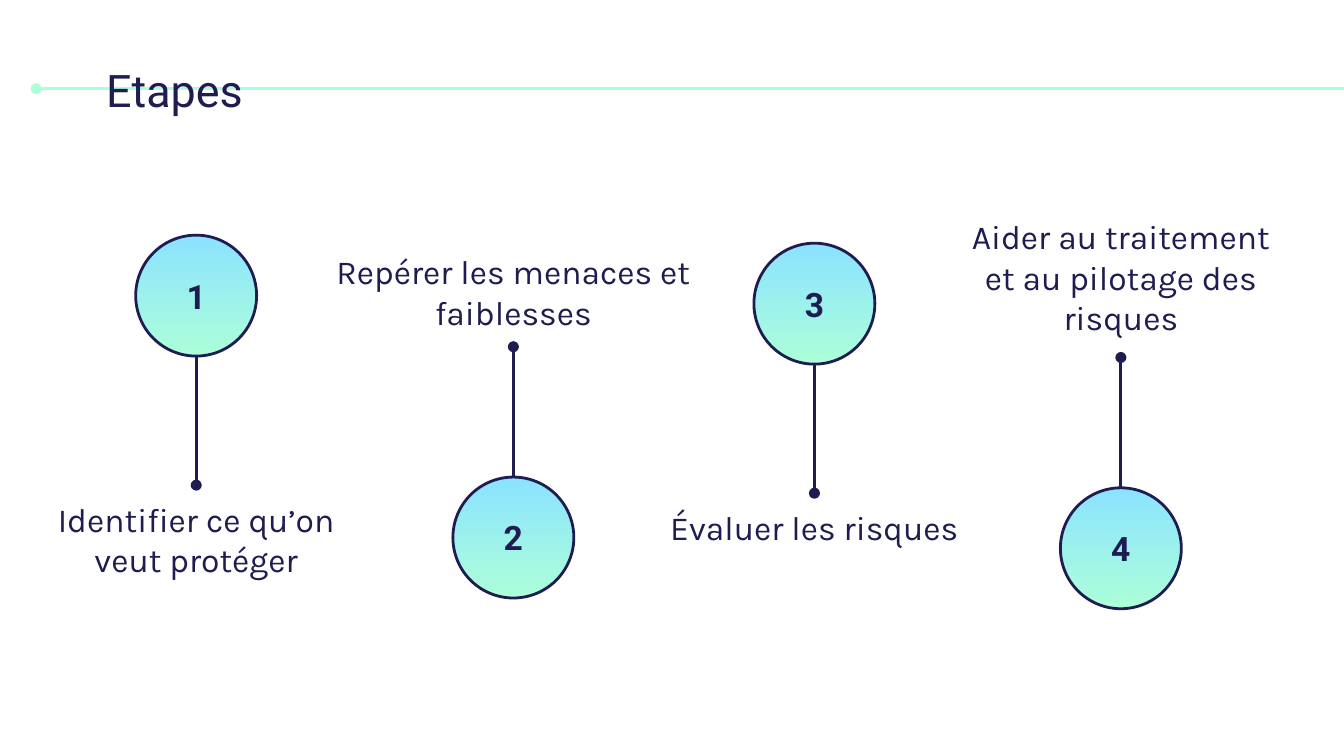
from pptx import Presentation
from pptx.dml.color import RGBColor
from pptx.enum.shapes import MSO_CONNECTOR, MSO_SHAPE
from pptx.enum.text import MSO_ANCHOR, MSO_AUTO_SIZE, PP_ALIGN
from pptx.oxml.ns import qn
from pptx.util import Inches, Pt
from lxml import etree

NAVY = RGBColor(0x1F, 0x1C, 0x51)
MINT = RGBColor(0xAC, 0xFF, 0xD9)
SKY = RGBColor(0x8B, 0xE3, 0xFF)
SIZE = 0.9


def write(shape, text, font, size, align, anchor=MSO_ANCHOR.TOP, bold=False):
    frame = shape.text_frame
    frame.word_wrap = True
    frame.auto_size = MSO_AUTO_SIZE.NONE
    frame.vertical_anchor = anchor
    frame.margin_left = frame.margin_right = Inches(0.1)
    frame.margin_top = frame.margin_bottom = Inches(0.1)
    para = frame.paragraphs[0]
    para.text = text
    para.alignment = align
    para.font.name = font
    para.font.size = Pt(size)
    para.font.bold = bold
    para.font.color.rgb = NAVY


def draw_line(x1, y1, x2, y2, color, dot):
    """Add a line with a round dot at its headEnd (start) or tailEnd (end)."""
    line = slide.shapes.add_connector(
        MSO_CONNECTOR.STRAIGHT, Inches(x1), Inches(y1), Inches(x2), Inches(y2))
    line.line.color.rgb = color
    line.line.width = Pt(1.5)
    etree.SubElement(line.line._get_or_add_ln(), qn("a:" + dot), type="oval")
    etree.SubElement(line._element.spPr, qn("a:effectLst"))
    return line


deck = Presentation()
deck.slide_width = Inches(10)
deck.slide_height = Inches(10 * 9 / 16)
slide = deck.slides.add_slide(deck.slide_layouts[5])

title = slide.shapes.title
title.left, title.top = Inches(0.69), Inches(0.37)
title.width, title.height = Inches(6.65), Inches(0.59)
write(title, "Etapes", "Roboto", 24, PP_ALIGN.LEFT)
rule = draw_line(0.27, 0.66, 10.1, 0.66, MINT, "headEnd")
title._element.addprevious(rule._element)  # the rule runs behind the title

# label, centre, circle top, label top, label width, label height
steps = [
    ("Identifier ce qu’on veut protéger", 1.46, 1.75, 3.61, 2.56, 1.1),
    ("Repérer les menaces et faiblesses", 3.82, 3.55, 1.77, 2.95, 0.81),
    ("Évaluer les risques", 6.06, 1.81, 3.67, 2.73, 0.59),
    ("Aider au traitement et au pilotage des risques",
     8.34, 3.63, 1.51, 2.62, 1.15),
]

for num, (text, mid, top, base, width, height) in enumerate(steps, 1):
    disc = slide.shapes.add_shape(
        MSO_SHAPE.OVAL, Inches(mid - SIZE / 2), Inches(top),
        Inches(SIZE), Inches(SIZE))
    disc.shadow.inherit = False
    disc.fill.gradient()
    disc.fill.gradient_angle = 270
    for stop, color in zip(disc.fill.gradient_stops, (SKY, MINT)):
        stop.color.rgb = color
    disc.line.color.rgb = NAVY
    disc.line.width = Pt(1.5)
    write(disc, str(num), "Roboto", 18, PP_ALIGN.CENTER,
          MSO_ANCHOR.MIDDLE, True)

    label = slide.shapes.add_textbox(
        Inches(mid - width / 2), Inches(base), Inches(width), Inches(height))
    write(label, text, "Karla", 18, PP_ALIGN.CENTER)

    if base > top:
        stem = draw_line(mid, top + SIZE, mid, base, NAVY, "tailEnd")
        stem.end_connect(label, 0)
    else:
        stem = draw_line(mid, top, mid, base + height, NAVY, "tailEnd")
        stem.begin_connect(disc, 0)
        stem.end_connect(label, 2)

deck.save("out.pptx")
